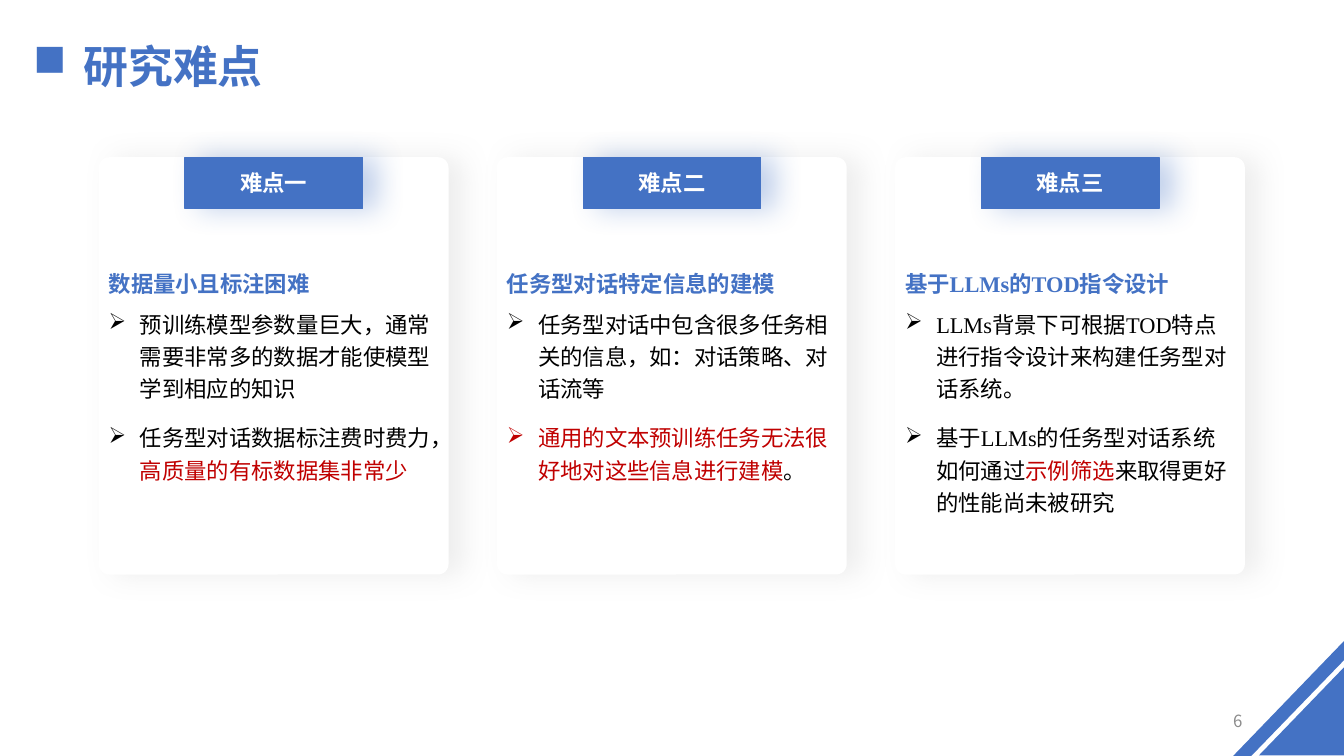
import pptx
import pptx.dml.color
import pptx.enum.shapes
import pptx.enum.text
import pptx.oxml
import pptx.oxml.ns
import pptx.util
from lxml import etree

COLORS = {"blue": "4472C4", "red": "C00000", "black": "000000",
          "white": "FFFFFF", "shade": "A6A6A6", "grey": "8C8C8C"}
SANS, SERIF = "Noto Sans CJK SC", "Times New Roman"
SHAPE = pptx.enum.shapes.MSO_SHAPE
ALIGN = pptx.enum.text.PP_ALIGN
ANCHOR = pptx.enum.text.MSO_ANCHOR
WIDTH, HEIGHT = pptx.util.Inches(13.33), pptx.util.Inches(7.5)
COLS, ROWS = 40, 30

CARDS = [
    ("难点一", "数据量小且标注困难",
     [[("预训练模型参数量巨大，通常需要非常多的数据才能使模型学到相应的知识", "black")],
      [("任务型对话数据标注费时费力，", "black"), ("高质量的有标数据集非常少", "red")]], 9.36),
    ("难点二", "任务型对话特定信息的建模",
     [[("任务型对话中包含很多任务相关的信息，如：对话策略、对话流等", "black")],
      [("通用的文本预训练任务无法很好地对这些信息进行建模", "red"), ("。", "black")]], 9.36),
    ("难点三", "基于LLMs的TOD指令设计",
     [[("LLMs背景下可根据TOD特点进行指令设计来构建任务型对话系统。", "black")],
      [("基于LLMs的任务型对话系统如何通过", "black"), ("示例筛选", "red"),
       ("来取得更好的性能尚未被研究", "black")]], 10.68),
]


def rgb(name):
    return pptx.dml.color.RGBColor.from_string(COLORS[name])


def add_text(p, runs, size=16, font=SERIF, bold=False, align=None,
             spacing=None, gap=None, bullet=None, indent=0):
    """Fill a paragraph with (text, colour) runs; gap is the space before and after."""
    p.alignment = align
    if spacing:
        p.line_spacing = spacing
    if gap:
        p.space_before = p.space_after = pptx.util.Pt(gap)
    if bullet:
        pPr = p._p.get_or_add_pPr()
        left = pptx.util.Inches(indent)
        pPr.set("marL", str(left))
        pPr.set("indent", str(-left))
        etree.SubElement(pPr, pptx.oxml.ns.qn("a:buChar"), char=bullet)
    for text, color in runs:
        r = p.add_run()
        r.text = text
        r.font.size, r.font.bold, r.font.name = pptx.util.Pt(size), bold, font
        r.font.color.rgb = rgb(color)
        etree.SubElement(r._r.get_or_add_rPr(), pptx.oxml.ns.qn("a:ea"), typeface=SANS)


class Deck:
    """Places elements on a slide by grid columns and rows."""

    def __init__(self):
        self.prs = pptx.Presentation()
        self.prs.slide_width, self.prs.slide_height = WIDTH, HEIGHT
        self.s = self.prs.slides.add_slide(self.prs.slide_layouts[6])
        self.shapes = self.s.shapes

    def x(self, cols):
        return round(WIDTH * cols / COLS)

    def y(self, rows):
        return round(HEIGHT * rows / ROWS)

    def box(self, col, row, cols, rows):
        return self.x(col), self.y(row), self.x(cols), self.y(rows)

    def group(self):
        """Send the next elements into a new group."""
        self.shapes = self.s.shapes.add_group_shape().shapes

    def ungroup(self):
        self.shapes = self.s.shapes

    def paint(self, sp, fill, line=None):
        sp.shadow.inherit = False
        sp.fill.solid()
        sp.fill.fore_color.rgb = rgb(fill)
        if line:
            sp.line.color.rgb = rgb(line)
            sp.line.width = pptx.util.Pt(1)
        else:
            sp.line.fill.background()

    def shape(self, kind, at, fill, line=None, radius=None, rotation=0):
        sp = self.shapes.add_shape(kind, *self.box(*at))
        self.paint(sp, fill, line)
        sp.rotation = rotation
        if radius is not None:
            sp.adjustments[0] = radius
        return sp

    def shadow(self, sp, color, alpha):
        """Cast a soft shadow to the right; alpha is in percent."""
        effects = sp._element.spPr.find(pptx.oxml.ns.qn("a:effectLst"))
        effects.append(pptx.oxml.parse_xml(
            f'<a:outerShdw {pptx.oxml.ns.nsdecls("a")} blurRad="{pptx.util.Pt(20)}" '
            f'dist="{pptx.util.Pt(10)}" dir="0" algn="l" rotWithShape="0">'
            f'<a:srgbClr val="{COLORS[color]}"><a:alpha val="{alpha * 1000}"/>'
            '</a:srgbClr></a:outerShdw>'))

    def outline(self, points, fill):
        first, *rest = [(self.x(c), self.y(r)) for c, r in points]
        builder = self.shapes.build_freeform(*first, scale=1.0)
        builder.add_line_segments(rest, close=True)
        self.paint(builder.convert_to_shape(), fill)

    def text(self, at, paragraphs, anchor=ANCHOR.TOP, grow=True):
        tf = self.shapes.add_textbox(*self.box(*at)).text_frame
        tf.word_wrap = True
        tf.vertical_anchor = anchor
        if grow:
            tf.auto_size = pptx.enum.text.MSO_AUTO_SIZE.SHAPE_TO_FIT_TEXT
        for i, (runs, style) in enumerate(paragraphs):
            add_text(tf.add_paragraph() if i else tf.paragraphs[0], runs, **style)

    def card(self, col, label, heading, points, body_rows):
        self.group()
        panel = self.shape(SHAPE.ROUNDED_RECTANGLE, (col, 6.24, 10.41, 16.56),
                           "white", radius=0.03)
        self.shadow(panel, "shade", 20)
        tag = self.shape(SHAPE.ROUNDED_RECTANGLE, (col + 2.57, 6.24, 5.28, 2.04),
                         "blue", line="blue", radius=0)
        self.shadow(tag, "blue", 32)
        self.text((col + 2.48, 6.52, 5.46, 1.48),
                  [([(label, "white")], dict(bold=True, align=ALIGN.CENTER))])
        point_style = dict(spacing=1.2, gap=6, bullet="➢", indent=0.31)
        self.text((col, 10, 10.41, body_rows),
                  [([(heading, "blue")], dict(bold=True, spacing=1.5))]
                  + [(runs, point_style) for runs in points])
        self.ungroup()

    def corner(self):
        self.group()
        self.shape(SHAPE.RIGHT_TRIANGLE, (37.42, 26.52, 2.64, 3.4), "blue", rotation=270)
        self.outline([(36.7, 30), (40, 25.44), (40, 26.2), (37.24, 30)], "blue")
        self.ungroup()


def main():
    deck = Deck()
    deck.text((0.69, 0.28, 34.3, 3.24),
              [([("研究难点", "blue")], dict(size=32, font=SANS, bold=True, spacing=1.5,
                                         bullet="■", indent=0.5))])
    deck.corner()
    for i, card in enumerate(CARDS):
        deck.card(2.94 + 11.85 * i, *card)
    deck.text((28.27, 27.8, 9, 1.6),
              [([("6", "grey")], dict(size=12, font=SANS, align=ALIGN.RIGHT))],
              anchor=ANCHOR.MIDDLE, grow=False)
    deck.prs.save("out.pptx")


if __name__ == "__main__":
    main()
